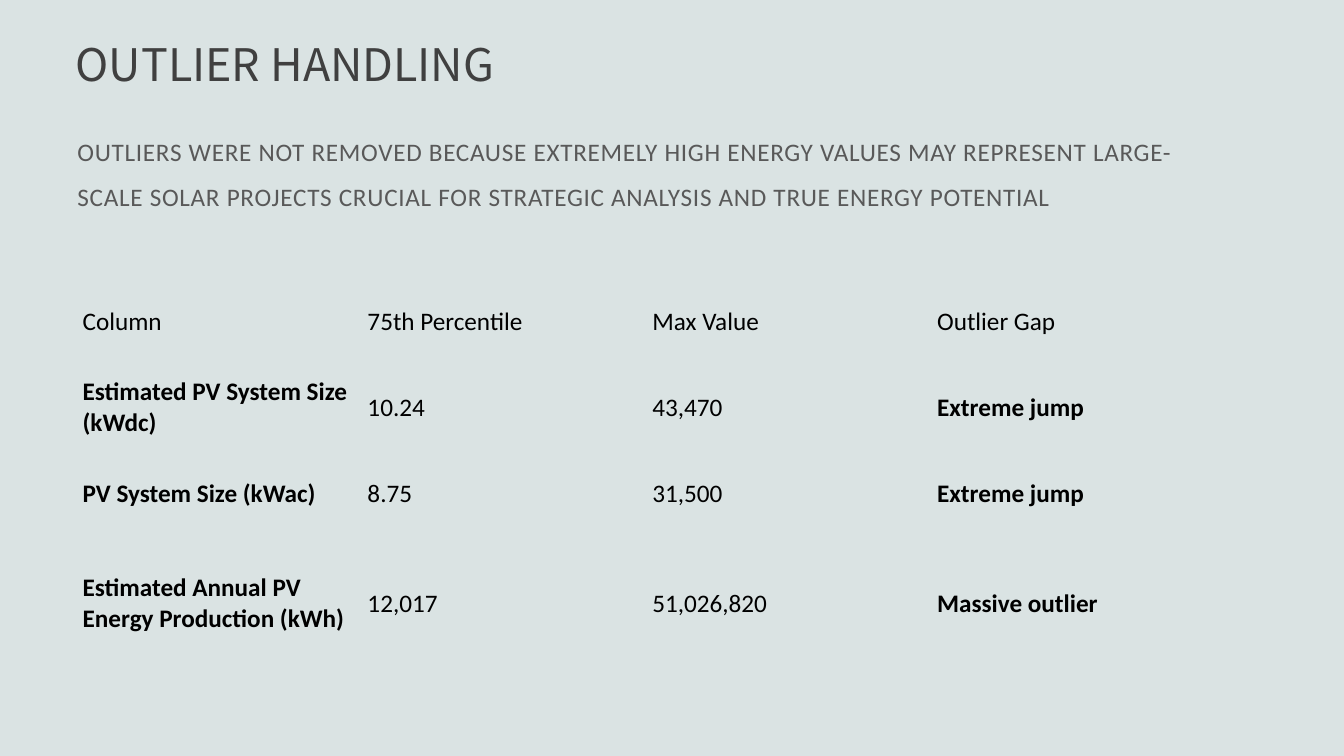
from pptx import Presentation
from pptx import util as u
from pptx.dml.color import RGBColor
from pptx.enum import text

BACKGROUND = RGBColor(0xDA, 0xE3, 0xE3)
TITLE_GREY = RGBColor(0x40, 0x40, 0x40)
BODY_GREY = RGBColor(0x59, 0x59, 0x59)
BLACK = RGBColor(0, 0, 0)
NO_GRID_STYLE = "{2D5ABB26-0587-4C30-8999-92F81FD0307C}"

REASON = (
    "OUTLIERS WERE NOT REMOVED BECAUSE EXTREMELY HIGH ENERGY VALUES MAY REPRESENT "
    "LARGE-SCALE SOLAR PROJECTS CRUCIAL FOR STRATEGIC ANALYSIS AND TRUE ENERGY POTENTIAL"
)
OUTLIERS = [
    ("Column", "75th Percentile", "Max Value", "Outlier Gap"),
    ("Estimated PV System Size (kWdc)", "10.24", "43,470", "Extreme jump"),
    ("PV System Size (kWac)", "8.75", "31,500", "Extreme jump"),
    ("Estimated Annual PV Energy Production (kWh)", "12,017", "51,026,820", "Massive outlier"),
]
ROW_HEIGHTS = (0.62, 1.09, 0.62, 1.56)


class SlideBuilder:
    """Holds the text styles and the current slide, and adds elements to it."""

    styles = {
        "title": {"name": "Noto Sans CJK KR", "size": u.Pt(32), "bold": False},
        "body": {"name": "Calibri", "size": u.Pt(18), "bold": False},
    }

    def __init__(self, prs):
        self.slide = prs.slides.add_slide(prs.slide_layouts[5])
        fill = self.slide.background.fill
        fill.solid()
        fill.fore_color.rgb = BACKGROUND

    def add_text(self, tf, content, style, color, line_spacing=1.0, bold=False):
        p = tf.paragraphs[0]
        p.alignment = text.PP_ALIGN.LEFT
        p.line_spacing = line_spacing
        r = p.add_run()
        r.text = content
        for key, value in {**self.styles[style], "bold": bold}.items():
            setattr(r.font, key, value)
        r.font.color.rgb = color
        return r

    def frame(self, sp, **margins):
        tf = sp.text_frame
        settings = {
            "word_wrap": True,
            "auto_size": text.MSO_AUTO_SIZE.NONE,
            "vertical_anchor": text.MSO_ANCHOR.TOP,
            **margins,
        }
        for key, value in settings.items():
            setattr(tf, key, value)
        return tf

    def title(self, content, left, top, width, height):
        sp = self.slide.shapes.title
        box = {"left": left, "top": top, "width": width, "height": height}
        for key, value in box.items():
            setattr(sp, key, u.Inches(value))
        tf = self.frame(sp, margin_left=u.Inches(0.08), margin_top=0)
        self.add_text(tf, content, "title", TITLE_GREY, 0.9)

    def body(self, content, *box):
        sp = self.slide.shapes.add_textbox(*map(u.Inches, box))
        r = self.add_text(self.frame(sp), content, "body", BODY_GREY, 1.5)
        r._r.get_or_add_rPr().set("spc", "50")

    def table(self, rows, heights, left, top, width):
        box = map(u.Inches, (left, top, width, sum(heights)))
        tbl = self.slide.shapes.add_table(len(rows), len(rows[0]), *box).table
        tbl.first_row = tbl.horz_banding = False
        tbl._tbl.tblPr[0].text = NO_GRID_STYLE
        last = len(rows[0]) - 1
        for i, (values, height) in enumerate(zip(rows, heights)):
            tbl.rows[i].height = u.Inches(height)
            for j, value in enumerate(values):
                cell = tbl.cell(i, j)
                cell.fill.background()
                cell.vertical_anchor = text.MSO_ANCHOR.MIDDLE
                bold = i > 0 and j in (0, last)
                self.add_text(cell.text_frame, value, "body", BLACK, bold=bold)


def main():
    prs = Presentation()
    prs.slide_width, prs.slide_height = u.Inches(13.33), u.Inches(7.5)
    s = SlideBuilder(prs)
    s.title("OUTLIER HANDLING", 0.67, 0.42, 5.34, 1.03)
    s.body(REASON, 0.67, 1.15, 11.36, 1.46)
    s.table(OUTLIERS, ROW_HEIGHTS, 0.72, 2.88, 11.3)
    prs.save("out.pptx")


if __name__ == "__main__":
    main()
